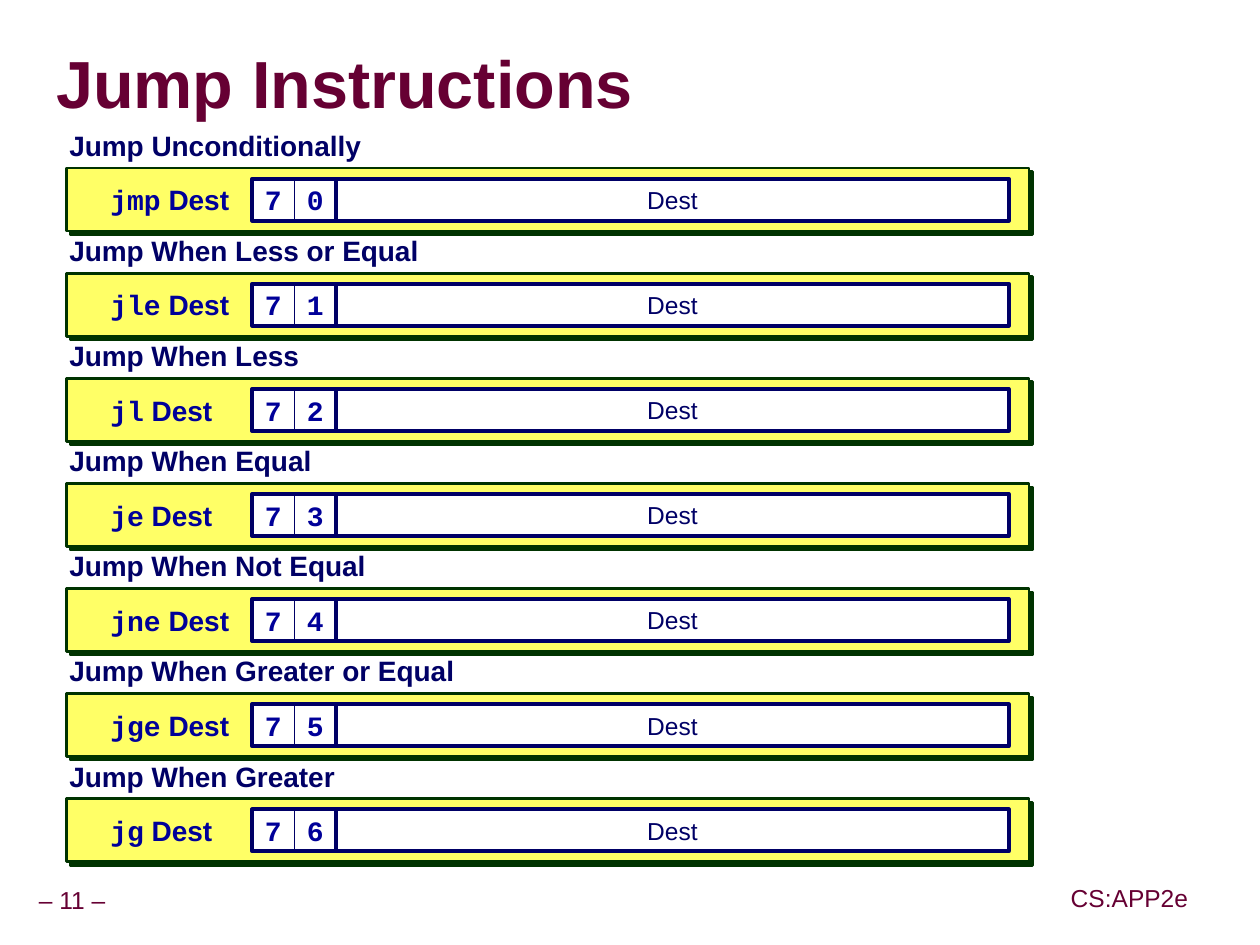
import pptx
import pptx.util
import pptx.dml.color
import pptx.enum.shapes
import pptx.enum.text
import pptx.oxml

Pt = pptx.util.Pt
ALIGN = pptx.enum.text.PP_ALIGN
ANCHOR = pptx.enum.text.MSO_ANCHOR
RECT = pptx.enum.shapes.MSO_SHAPE.RECTANGLE
NS = 'xmlns:a="http://schemas.openxmlformats.org/drawingml/2006/main"'
MAROON, NAVY, BLUE, GREEN = "660033", "000066", "000099", "003300"
CODE = {"name": "Courier New", "size": Pt(16), "bold": True, "color": BLUE}
OPERAND = {**CODE, "name": "Arial"}
HEADING = {**OPERAND, "color": NAVY}
DEST = {"name": "Arial", "size": Pt(14), "bold": False, "color": NAVY}
FOOTER = {**DEST, "color": MAROON}
TITLE = {"name": "Arial", "size": Pt(38), "bold": True, "color": MAROON}
JUMPS = [
    ("Jump Unconditionally", 175.5, "jmp"),
    ("Jump When Less or Equal", 207.5, "jle"),
    ("Jump When Less", 139, "jl"),
    ("Jump When Equal", 146, "je"),
    ("Jump When Not Equal", 177, "jne"),
    ("Jump When Greater or Equal", 227.5, "jge"),
    ("Jump When Greater", 159, "jg"),
]


def rgb(color):
    """Turn a hex string into a colour."""
    return pptx.dml.color.RGBColor.from_string(color)


def shadow(color, dist):
    """Return an effect list with a hard shadow to the lower right."""
    return pptx.oxml.parse_xml(
        f'<a:effectLst {NS}><a:outerShdw dist="{Pt(dist)}" dir="2700000" algn="ctr" '
        f'rotWithShape="0"><a:srgbClr val="{color}"/></a:outerShdw></a:effectLst>')


def write(sp, runs, align=ALIGN.LEFT, anchor=ANCHOR.MIDDLE, inset=None, spacing=None, wrap=False):
    """Fill the first paragraph of a shape with (text, format) runs."""
    tf = sp.text_frame
    tf.word_wrap = wrap
    tf.vertical_anchor = anchor
    if inset is not None:
        for side in ("left", "top", "right", "bottom"):
            setattr(tf, f"margin_{side}", Pt(inset))
    p = tf.paragraphs[0]
    p.alignment = align
    p.line_spacing = spacing
    for text, fmt in runs:
        r = p.add_run()
        r.text = text
        for key, value in fmt.items():
            if key == "color":
                r.font.color.rgb = rgb(value)
            else:
                setattr(r.font, key, value)


def add_text(shapes, box, runs, **layout):
    """Add a text box."""
    sp = shapes.add_textbox(*map(Pt, box))
    write(sp, runs, **layout)
    return sp


def add_rect(shapes, box, fill, line, width, runs=()):
    """Add an outlined rectangle with optional centred text."""
    sp = shapes.add_shape(RECT, *map(Pt, box))
    sp.shadow.inherit = False
    if fill:
        sp.fill.solid()
        sp.fill.fore_color.rgb = rgb(fill)
    else:
        sp.fill.background()
    sp.line.color.rgb = rgb(line)
    sp.line.width = Pt(width)
    if runs:
        write(sp, runs, align=ALIGN.CENTER)
    return sp


def add_title(s, box, text):
    """Add the slide title with its grey text shadow."""
    sp = add_text(s.shapes, box, [(text, TITLE)], inset=0, spacing=0.87, wrap=True)
    rPr = sp.text_frame.paragraphs[0].runs[0].font._element
    rPr.insert(1, shadow("969696", 2.8))


def add_opcode(s, box, digits):
    """Add the grouped hex digit cells of an instruction byte."""
    x, y, w, h = box
    cell = w / len(digits)
    g = s.shapes.add_group_shape()
    for i, digit in enumerate(digits):
        add_rect(g.shapes, (x + i * cell, y, cell, h), "FFFFFF", NAVY, 0.5, [(digit, CODE)])
    add_rect(g.shapes, box, None, NAVY, 2.25)


def add_jump(s, box, heading, heading_width, name, digits):
    """Add one instruction: heading, yellow bar, name, opcode and destination."""
    x, y, w, h = box
    bar = add_rect(s.shapes, (x + 2, y + 24, w - 2, h - 24), "FFFF66", GREEN, 1.5)
    spPr = bar._element.spPr
    spPr.remove(spPr.find(pptx.oxml.ns.qn("a:effectLst")))
    spPr.append(shadow(GREEN, 2.8))
    top = y + 30
    add_text(s.shapes, (x + 20, top, 88, 24), [(name, CODE), (" Dest", OPERAND)])
    add_opcode(s, (x + 108, top, 48, 24), digits)
    add_text(s.shapes, (x, y, heading_width, 24.5), [(heading, HEADING)],
             anchor=ANCHOR.TOP, inset=3.6, spacing=0.9)
    add_rect(s.shapes, (x + 156, top, 384, 24), "FFFFFF", NAVY, 2.25, [("Dest", DEST)])


def add_footer(s, box, text):
    """Add a centred footer text."""
    add_text(s.shapes, box, [(text, FOOTER)], align=ALIGN.CENTER, inset=3.6, spacing=0.9)


def main():
    """Build the slide and save it."""
    prs = pptx.Presentation()
    prs.slide_width, prs.slide_height = Pt(719.5), Pt(539.5)
    s = prs.slides.add_slide(prs.slide_layouts[6])
    add_footer(s, (17.5, 503.5, 47.5, 22), "– 11 –")
    add_footer(s, (607.5, 502.5, 75, 22), "CS:APP2e")
    add_title(s, (32, 19.5, 685.5, 61), "Jump Instructions")
    for i, (heading, width, name) in enumerate(JUMPS):
        add_jump(s, (36, 72 + 60 * i, 551.5, 60), heading, width, name, f"7{i}")
    prs.save("out.pptx")


if __name__ == "__main__":
    main()
